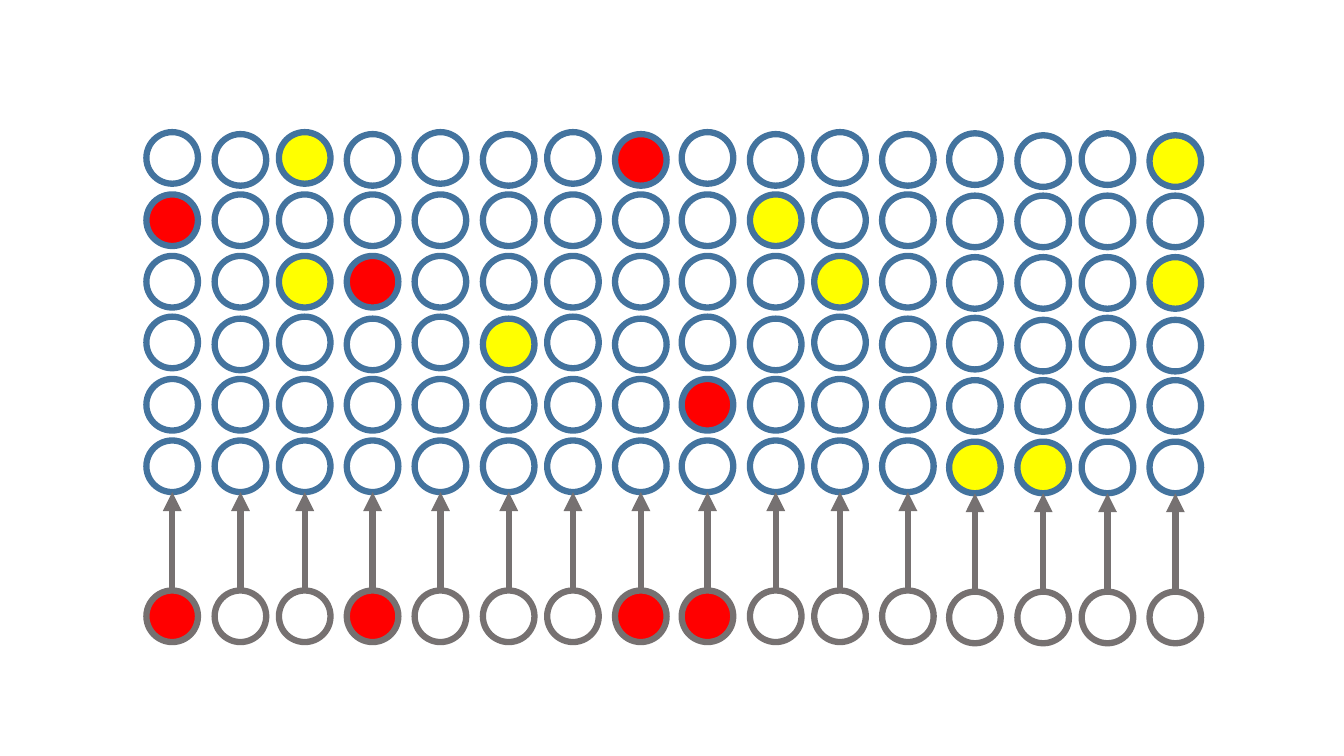
"""Build a slide with a grid of discs fed by a row of input discs through arrows."""
from lxml.etree import SubElement
from pptx import Presentation
from pptx.dml.color import RGBColor
from pptx.enum.shapes import MSO_CONNECTOR, MSO_SHAPE
from pptx.oxml.ns import qn
from pptx.util import Cm, Pt

COLORS = {"grid": "43739E", "input": "767171", "R": "FF0000", "Y": "FFFF00"}
LINE_FORMAT = {"width": Pt(4.5)}
DIAMETER = 1.3
GROUP_LEFTS = [3.69, 10.45, 17.18, 23.92]
COLUMN_OFFSETS = [0, 1.72, 3.34, 5.05]
BLOCK_TOPS = [3.33, 7.98]
ROW_OFFSETS = [0, 1.57, 3.12]
INPUT_TOP = 14.88
STAGGER = 0.05
LAST_GROUP_DROP = 0.03
GRID = [
    "..Y....R.......Y",
    "R........Y......",
    "..YR......Y....Y",
    ".....Y..........",
    "........R.......",
    "............YY..",
]
INPUTS = "R..R...RR......."


def style_line(line, color):
    """Give a line its colour and shared format."""
    line.color.rgb = RGBColor.from_string(COLORS[color])
    for name, value in LINE_FORMAT.items():
        setattr(line, name, value)


def add_disc(page, left, top, outline, mark):
    """Add a disc, filled only if its mark is a colour."""
    disc = page.shapes.add_shape(
        MSO_SHAPE.OVAL, Cm(left), Cm(top), Cm(DIAMETER), Cm(DIAMETER)
    )
    disc.shadow.inherit = False
    style_line(disc.line, outline)
    if mark in COLORS:
        disc.fill.solid()
        disc.fill.fore_color.rgb = RGBColor.from_string(COLORS[mark])
    else:
        disc.fill.background()


deck = Presentation()
deck.slide_width, deck.slide_height = Cm(33.87), Cm(19.05)
page = deck.slides.add_slide(deck.slide_layouts[6])

column_lefts = [group + offset for group in GROUP_LEFTS for offset in COLUMN_OFFSETS]
row_tops = [block + offset for block in BLOCK_TOPS for offset in ROW_OFFSETS]

for column, left in enumerate(column_lefts):
    drop = LAST_GROUP_DROP if left >= GROUP_LEFTS[-1] else 0
    for row, top in enumerate(row_tops):
        stagger = STAGGER if column % 2 and top in BLOCK_TOPS else 0
        add_disc(page, left, top + drop + stagger, "grid", GRID[row][column])

    input_top = INPUT_TOP + drop
    add_disc(page, left, input_top, "input", INPUTS[column])

    center = Cm(left + DIAMETER / 2)
    grid_bottom = Cm(row_tops[-1] + DIAMETER + drop)
    arrow = page.shapes.add_connector(
        MSO_CONNECTOR.STRAIGHT, center, Cm(input_top), center, grid_bottom
    )
    style_line(arrow.line, "input")
    SubElement(arrow.get_or_add_ln(), qn("a:tailEnd"), type="triangle")
    SubElement(arrow.element.spPr, qn("a:effectLst"))

deck.save("out.pptx")
